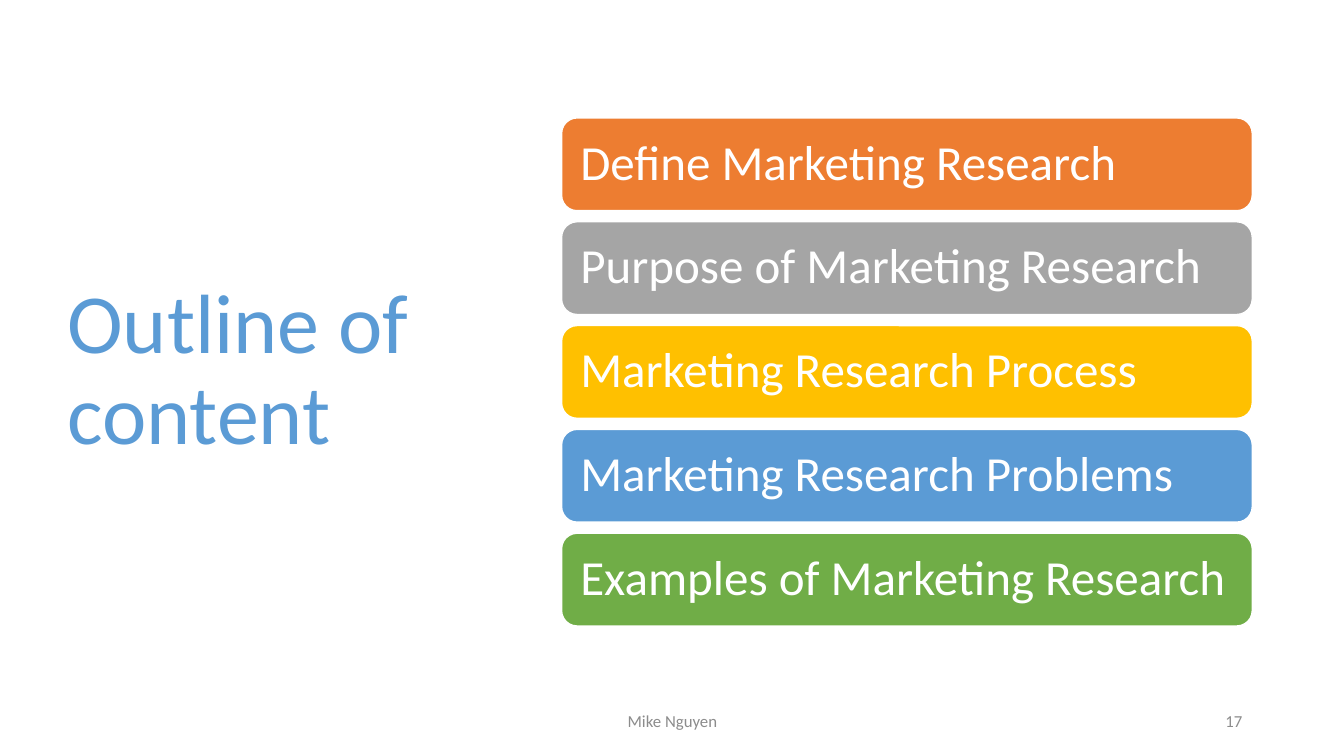
from pptx import Presentation
from pptx.dml.color import RGBColor
from pptx.enum.shapes import MSO_SHAPE
from pptx.enum.text import MSO_ANCHOR, PP_ALIGN
from pptx.util import Inches, Pt

ROUNDED = MSO_SHAPE.ROUNDED_RECTANGLE
MIDDLE = MSO_ANCHOR.MIDDLE
LEFT, CENTER, RIGHT = PP_ALIGN.LEFT, PP_ALIGN.CENTER, PP_ALIGN.RIGHT

COLORS = {
    "white": "FFFFFF",
    "muted": "8C8C8C",
    "orange": "ED7D31",
    "gray": "A5A5A5",
    "gold": "FFC000",
    "blue": "5B9BD5",
    "green": "70AD47",
}

TOPICS = [
    ("Define Marketing Research", "orange"),
    ("Purpose of Marketing Research", "gray"),
    ("Marketing Research Process", "gold"),
    ("Marketing Research Problems", "blue"),
    ("Examples of Marketing Research", "green"),
]


def color(name):
    return RGBColor.from_string(COLORS[name])


def write(shape, text, size, color_name, align=LEFT, spacing=1.0, inset=(0.1, 0.05)):
    """Put one formatted paragraph into a shape or text box."""
    side, edge = map(Inches, inset)
    frame = shape.text_frame
    frame_format = {
        "word_wrap": True, "vertical_anchor": MIDDLE,
        "margin_left": side, "margin_right": side,
        "margin_top": edge, "margin_bottom": edge,
    }
    for name, value in frame_format.items():
        setattr(frame, name, value)
    para = frame.paragraphs[0]
    para.alignment = align
    para.line_spacing = spacing
    span = para.add_run()
    span.text = text
    for name, value in {"name": "Calibri", "size": Pt(size)}.items():
        setattr(span.font, name, value)
    span.font.color.rgb = color(color_name)


def add_text(page, box, text, size, color_name, **style):
    write(page.shapes.add_textbox(*map(Inches, box)), text, size, color_name, **style)


def add_topic_list(page, box, topics, bar_height=0.92):
    """Stack one rounded bar per topic, evenly filling the box."""
    left, top, width, height = box
    step = (height - bar_height) / (len(topics) - 1)
    for index, (topic, fill) in enumerate(topics):
        bar_box = (left, top + index * step, width, bar_height)
        bar = page.shapes.add_shape(ROUNDED, *map(Inches, bar_box))
        bar.shadow.inherit = False
        bar.fill.solid()
        bar.fill.fore_color.rgb = color(fill)
        bar.line.color.rgb = color("white")
        bar.line.width = Pt(1)
        # The rounded corners add a little to the side inset
        write(bar, topic, 35, "white", spacing=0.9, inset=(0.14, 0.15))


def add_footer(page, box, author, number):
    """Author in the middle of the page, page number at the right edge of the box."""
    left, top, width, height = box
    number_width = 3
    author_width = width - number_width - 0.5
    add_text(page, (left, top, author_width, height), author, 12, "muted", align=CENTER)
    number_box = (left + width - number_width, top, number_width, height)
    add_text(page, number_box, number, 12, "muted", align=RIGHT)


def main():
    deck = Presentation()
    deck.slide_width, deck.slide_height = Inches(13.33), Inches(7.5)
    page = deck.slides.add_slide(deck.slide_layouts[6])

    # Title
    add_text(page, (0.57, 0.68, 4.16, 6.02), "Outline of content", 60, "blue", spacing=0.9)
    # Topics
    add_topic_list(page, (5.57, 1.17, 6.85, 5.04), TOPICS)
    # Footer
    add_footer(page, (4.42, 6.95, 8, 0.4), "Mike Nguyen", "17")

    deck.save("out.pptx")


if __name__ == "__main__":
    main()
